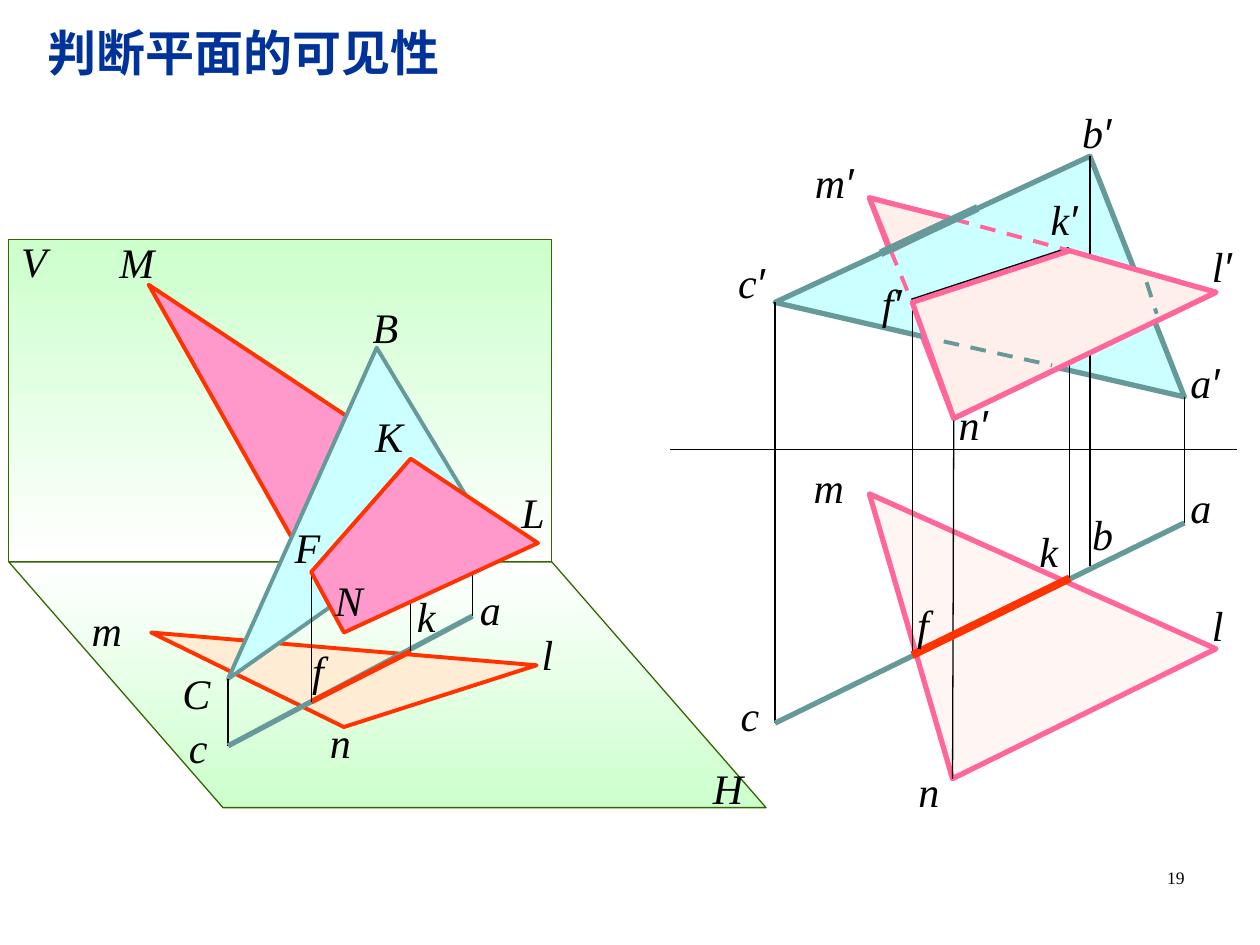
from dataclasses import dataclass
from typing import NamedTuple, Optional

from lxml.etree import SubElement
from pptx import Presentation
from pptx.dml.color import RGBColor
from pptx.enum.dml import MSO_LINE
from pptx.enum.shapes import MSO_CONNECTOR, MSO_SHAPE
from pptx.enum.text import PP_ALIGN
from pptx.oxml.ns import qn
from pptx.util import Inches, Pt


@dataclass(frozen=True)
class Theme:
    black: str = "000000"
    title: str = "003399"
    teal: str = "669999"
    cyan: str = "CCFFFF"
    rose: str = "FF6699"
    blush: str = "FFEFEB"
    red: str = "FF3300"
    pink: str = "FF99CC"
    cream: str = "FFECD5"
    green: str = "336600"
    mint: str = "CCFFCC"
    white: str = "FFFFFF"
    serif: str = "Times New Roman"
    sans: str = "Arial"
    title_pt: float = 28
    label_pt: float = 24
    number_pt: float = 10
    hair: float = 0.75
    edge: float = 2.25
    heavy: float = 3
    bold: float = 4.5


T = Theme()


class Point(NamedTuple):
    x: float
    y: float


class Label(NamedTuple):
    text: str
    x: float
    y: float


class Face(NamedTuple):
    points: str
    fill: str
    line: str
    width: float
    alpha: Optional[int] = None


class Edge(NamedTuple):
    points: str
    color: str = T.black
    width: float = T.hair
    dashed: bool = False


# Vertices are keyed by one letter: capitals for the upper view (or space), small ones below.
PROJECTION = {
    "M": Point(6.9, 1.57), "N": Point(7.57, 3.32), "L": Point(9.65, 2.32),
    "C": Point(6.15, 2.4), "B": Point(8.65, 1.24), "A": Point(9.4, 3.15),
    "F": Point(7.24, 2.4), "K": Point(8.49, 1.99),
    "m": Point(6.9, 3.92), "n": Point(7.56, 6.18), "l": Point(9.65, 5.15),
    "c": Point(6.15, 5.74), "b": Point(8.65, 4.49), "a": Point(9.4, 4.15),
    "f": Point(7.24, 5.2), "k": Point(8.49, 4.59),
    "X": Point(5.32, 3.57), "O": Point(9.82, 3.57),
    "P": Point(7.57, 1.74), "Q": Point(7.07, 1.99),
    "R": Point(6.99, 2.01), "S": Point(7.76, 1.65),
    "T": Point(7.49, 2.71), "U": Point(8.35, 2.9),
    "V": Point(9.1, 2.24), "W": Point(9.18, 2.49),
}
PROJECTION_PARTS = [
    Face("MNL", T.blush, T.rose, T.heavy, 50),
    Face("CBA", T.cyan, T.teal, T.heavy),
    *map(Edge, ("XO", "cC", "aA", "bB")),
    Face("mln", T.blush, T.rose, T.heavy, 50),
    Edge("nN"),
    Edge("ca", T.teal, T.heavy),
    Edge("KF", T.black, T.bold),
    *map(Edge, ("fF", "kK")),
    Edge("fk", T.red, T.bold),
    Face("PMQ", T.blush, T.rose, T.heavy),
    Face("NLKF", T.blush, T.rose, T.heavy),
    *(Edge(e, T.rose, T.edge, True) for e in ("PK", "QF")),
    *(Edge(e, T.teal, T.edge, True) for e in ("TU", "VW")),
    Edge("RS", T.teal, T.bold),
]
PROJECTION_LABELS = [
    Label("b′", 8.49, 0.8), Label("b", 8.57, 3.99), Label("a", 9.35, 3.77),
    Label("c", 5.78, 5.42), Label("n", 7.19, 6.03), Label("l", 9.52, 4.71),
    Label("m", 6.36, 3.61), Label("c′", 5.76, 1.99), Label("m′", 6.37, 1.19),
    Label("a′", 9.35, 2.78), Label("l′", 9.52, 1.86), Label("n′", 7.51, 3.11),
    Label("f", 7.18, 4.7), Label("k", 8.15, 4.12), Label("f′", 6.9, 2.15),
    Label("k′", 8.24, 1.49),
]

SPACE = {
    "M": Point(1.18, 2.26), "N": Point(2.73, 5.02), "L": Point(4.27, 4.31),
    "B": Point(2.99, 2.76), "C": Point(1.81, 5.39), "A": Point(3.75, 4.02),
    "F": Point(2.47, 4.54), "K": Point(3.26, 3.64),
    "m": Point(1.2, 5.02), "n": Point(2.73, 5.77), "l": Point(4.26, 5.28),
    "c": Point(1.81, 5.92), "a": Point(3.75, 4.89),
    "f": Point(2.47, 5.57), "k": Point(3.26, 5.17),
}
SPACE_PARTS = [
    Face("FMK", T.pink, T.red, T.edge),
    Face("nlm", T.cream, T.red, T.edge),
    Face("ACB", T.cyan, T.teal, T.edge),
    *map(Edge, ("aA", "cC")),
    Edge("ac", T.teal, T.heavy),
    Edge("fk", T.red, T.heavy),
    *map(Edge, ("Ff", "Kk")),
    Face("KFNL", T.pink, T.red, T.edge),
]
SPACE_LABELS = [
    Label("V", 0.07, 1.82), Label("H", 5.56, 6), Label("M", 0.85, 1.83),
    Label("m", 0.63, 4.75), Label("n", 2.52, 5.64), Label("l", 4.2, 4.94),
    Label("B", 2.86, 2.34), Label("C", 1.35, 5.25), Label("a", 3.71, 4.58),
    Label("c", 1.4, 5.68), Label("k", 3.21, 4.64), Label("f", 2.38, 5.07),
    Label("F", 2.24, 4.09), Label("K", 2.88, 3.21), Label("N", 2.56, 4.51),
    Label("L", 4.04, 3.81),
]


def rgb(color: str) -> RGBColor:
    return RGBColor.from_string(color)


def style_line(sp, color: str, width: float) -> None:
    sp.line.color.rgb = rgb(color)
    sp.line.width = Pt(width)


def outline(shapes, points: list[Point]):
    xy = [(Inches(p.x), Inches(p.y)) for p in points]
    fb = shapes.build_freeform(*xy[0])
    fb.add_line_segments(xy[1:], close=True)
    sp = fb.convert_to_shape()
    sp.shadow.inherit = False
    return sp


def draw_face(shapes, face: Face, points: dict[str, Point]) -> None:
    sp = outline(shapes, [points[key] for key in face.points])
    sp.fill.solid()
    sp.fill.fore_color.rgb = rgb(face.fill)
    if face.alpha is not None:
        color = sp._element.spPr.find(qn("a:solidFill"))[0]
        SubElement(color, qn("a:alpha")).set("val", str(face.alpha * 1000))
    style_line(sp, face.line, face.width)


def draw_edge(shapes, edge: Edge, points: dict[str, Point]) -> None:
    ends = [Inches(v) for key in edge.points for v in points[key]]
    cn = shapes.add_connector(MSO_CONNECTOR.STRAIGHT, *ends)
    style_line(cn, edge.color, edge.width)
    if edge.dashed:
        cn.line.dash_style = MSO_LINE.DASH
    SubElement(cn._element.spPr, qn("a:effectLst"))


def shade_plane(sp, top: str, bottom: str) -> None:
    sp.fill.gradient()
    sp.fill.gradient_angle = 270
    for stop, color in zip(sp.fill.gradient_stops, (top, bottom)):
        stop.color.rgb = rgb(color)
    style_line(sp, T.green, T.hair)


def add_text(shapes, x: float, y: float, w: float, h: float, text: str,
             size: float, font: str, color: str = T.black):
    tf = shapes.add_textbox(Inches(x), Inches(y), Inches(w), Inches(h)).text_frame
    tf.word_wrap = True
    p = tf.paragraphs[0]
    p.font.size, p.font.name = Pt(size), font
    p.font.color.rgb = rgb(color)
    p.add_run().text = text
    return p


def draw_label(shapes, label: Label) -> None:
    p = add_text(shapes, label.x, label.y, 0.7, 0.5, label.text[0], T.label_pt, T.serif)
    p.font.italic = True
    if label.text[1:]:
        r = p.add_run()
        r.text, r.font.name = label.text[1:], T.sans


def draw_view(shapes, points: dict[str, Point], parts: list, labels: list[Label]) -> None:
    for part in parts:
        draw = draw_face if isinstance(part, Face) else draw_edge
        draw(shapes, part, points)
    for label in labels:
        draw_label(shapes, label)


def main() -> None:
    prs = Presentation()
    prs.slide_width, prs.slide_height = Inches(10), Inches(7.5)
    s = prs.slides.add_slide(prs.slide_layouts[6])

    draw_view(s.shapes.add_group_shape().shapes, PROJECTION, PROJECTION_PARTS, PROJECTION_LABELS)

    space = s.shapes.add_group_shape().shapes
    wall = space.add_shape(MSO_SHAPE.RECTANGLE, Inches(0.07), Inches(1.9), Inches(4.31), Inches(2.56))
    wall.shadow.inherit = False
    shade_plane(wall, T.mint, T.white)
    floor = [Point(0.07, 4.46), Point(1.77, 6.41), Point(6.08, 6.41), Point(4.38, 4.46)]
    shade_plane(outline(space, floor), T.white, T.mint)
    draw_view(space, SPACE, SPACE_PARTS, SPACE_LABELS)

    title = add_text(s.shapes, 0.28, 0.13, 3.5, 0.57, "判断平面的可见性", T.title_pt, T.sans, T.title)
    title.font.bold = True
    number = add_text(s.shapes, 7.17, 6.83, 2.33, 0.5, "19", T.number_pt, T.serif)
    number.alignment = PP_ALIGN.RIGHT
    prs.save("out.pptx")


if __name__ == "__main__":
    main()
